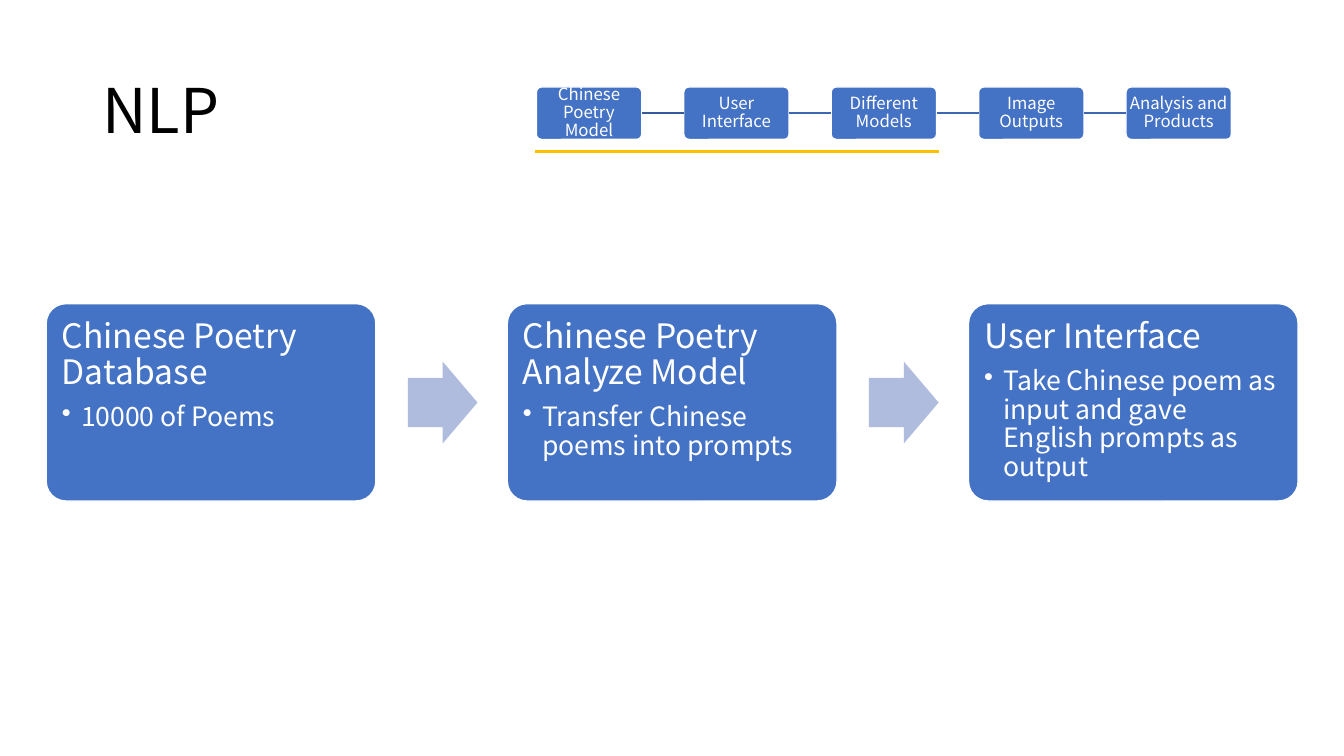
from lxml import etree
from pptx import Presentation
from pptx.dml.color import RGBColor
from pptx.enum.shapes import MSO_CONNECTOR, MSO_SHAPE
from pptx.enum.text import MSO_ANCHOR, PP_ALIGN
from pptx.oxml.ns import qn
from pptx.util import Inches, Pt

ROUNDED = MSO_SHAPE.ROUNDED_RECTANGLE
RIGHT_ARROW = MSO_SHAPE.RIGHT_ARROW
STRAIGHT = MSO_CONNECTOR.STRAIGHT
TOP, MIDDLE = MSO_ANCHOR.TOP, MSO_ANCHOR.MIDDLE
LEFT, CENTER = PP_ALIGN.LEFT, PP_ALIGN.CENTER

BLACK = RGBColor(0x00, 0x00, 0x00)
WHITE = RGBColor(0xFF, 0xFF, 0xFF)
BLUE = RGBColor(0x44, 0x72, 0xC4)
PALE_BLUE = RGBColor(0xB0, 0xBC, 0xDE)
DEEP_BLUE = RGBColor(0x36, 0x5B, 0x9D)
MID_BLUE = RGBColor(0x3E, 0x67, 0xB2)
GOLD = RGBColor(0xFF, 0xC0, 0x00)

COLUMNS, ROWS = 160, 90
RIGHT_SIDE, LEFT_SIDE = 3, 1

STEPS = ["Chinese Poetry Model", "User Interface", "Different Models",
         "Image Outputs", "Analysis and Products"]
STEP_LEFT, STEP_PITCH, STEP_TOP = 63.85, 17.55, 10.35
STEP_WIDTH, STEP_HEIGHT = 12.55, 6.25

CARDS = [
    ("Chinese Poetry Database", "10000 of Poems"),
    ("Chinese Poetry Analyze Model", "Transfer Chinese poems into prompts"),
    ("User Interface",
     "Take Chinese poem as input and gave English prompts as output"),
]
CARD_LEFT, CARD_PITCH, CARD_TOP = 5.5, 54.9, 36.15
CARD_WIDTH, CARD_HEIGHT = 39.25, 23.5
ARROW_OFFSET, ARROW_TOP, ARROW_WIDTH, ARROW_HEIGHT = 43.05, 43.05, 8.3, 9.75


class Page:
    font = "Noto Sans CJK SC"
    line_spacing = 0.9

    def __init__(self, deck):
        self.slide = deck.slides.add_slide(deck.slide_layouts[6])
        self.column = deck.slide_width / COLUMNS
        self.row = deck.slide_height / ROWS

    def place(self, left, top, width, height):
        return (round(left * self.column), round(top * self.row),
                round(width * self.column), round(height * self.row))

    def paragraph(self, para, size, color, align=LEFT, after=0):
        para.alignment = align
        para.line_spacing = self.line_spacing
        para.space_before = Pt(0)
        para.space_after = Pt(after * size)
        for span in para.runs:
            span.font.name = self.font
            span.font.size = Pt(size)
            span.font.color.rgb = color

    def bullet(self, para):
        properties = para._p.get_or_add_pPr()
        properties.set("marL", str(Inches(0.19)))
        properties.set("indent", str(-Inches(0.19)))
        etree.SubElement(properties, qn("a:buChar")).set("char", "•")

    def frame(self, box, text, anchor, inset):
        frame = box.text_frame
        frame.text = text
        frame.word_wrap = True
        frame.vertical_anchor = anchor
        frame.margin_left = frame.margin_right = Inches(inset)
        frame.margin_top = frame.margin_bottom = Inches(inset)
        return frame

    def title(self, text, *area):
        box = self.slide.shapes.add_textbox(*self.place(*area))
        frame = self.frame(box, text, MIDDLE, 0.1)
        self.paragraph(frame.paragraphs[0], 44, BLACK)

    def shape(self, kind, fill, adjustments, *area):
        box = self.slide.shapes.add_shape(kind, *self.place(*area))
        box.shadow.inherit = False
        box.fill.solid()
        box.fill.fore_color.rgb = fill
        box.line.fill.background()
        for index, value in enumerate(adjustments):
            box.adjustments[index] = value
        return box

    def panel(self, *area):
        box = self.shape(ROUNDED, BLUE, [0.1], *area)
        box.line.color.rgb = WHITE
        box.line.width = Pt(1)
        return box

    def step(self, text, *area):
        box = self.panel(*area)
        frame = self.frame(box, text, MIDDLE, 0.01)
        self.paragraph(frame.paragraphs[0], 12, WHITE, CENTER, 0.35)
        return box

    def card(self, heading, detail, *area):
        frame = self.frame(self.panel(*area), heading, TOP, 0.1)
        self.paragraph(frame.paragraphs[0], 24, WHITE, after=0.35)
        para = frame.add_paragraph()
        para.text = detail
        para.level = 1
        self.paragraph(para, 19, WHITE, after=0.15)
        self.bullet(para)

    def arrow(self, *area):
        self.shape(RIGHT_ARROW, PALE_BLUE, [0.6, 0.5], *area)

    def line(self, left, right, row, color, width):
        x, y, length, _ = self.place(left, row, right - left, 0)
        line = self.slide.shapes.add_connector(STRAIGHT, x, y, x + length, y)
        line.line.color.rgb = color
        line.line.width = Pt(width)
        etree.SubElement(line._element.spPr, qn("a:effectLst"))
        return line

    def link(self, first, second, color):
        line = self.line(0, 1, 0, color, 1)
        line.begin_connect(first, RIGHT_SIDE)
        line.end_connect(second, LEFT_SIDE)


def main():
    deck = Presentation()
    deck.slide_width, deck.slide_height = Inches(13.33), Inches(7.5)
    page = Page(deck)
    page.title("NLP", 11, 4.8, 138, 17.4)

    boxes = [page.step(text, STEP_LEFT + index * STEP_PITCH, STEP_TOP,
                       STEP_WIDTH, STEP_HEIGHT)
             for index, text in enumerate(STEPS)]
    for index, (first, second) in enumerate(zip(boxes, boxes[1:])):
        page.link(first, second, MID_BLUE if index else DEEP_BLUE)

    for index, (heading, detail) in enumerate(CARDS):
        left = CARD_LEFT + index * CARD_PITCH
        page.card(heading, detail, left, CARD_TOP, CARD_WIDTH, CARD_HEIGHT)
        if index < len(CARDS) - 1:
            page.arrow(left + ARROW_OFFSET, ARROW_TOP,
                       ARROW_WIDTH, ARROW_HEIGHT)

    page.line(63.75, 111.75, 18, GOLD, 2)
    deck.save("out.pptx")


if __name__ == "__main__":
    main()
